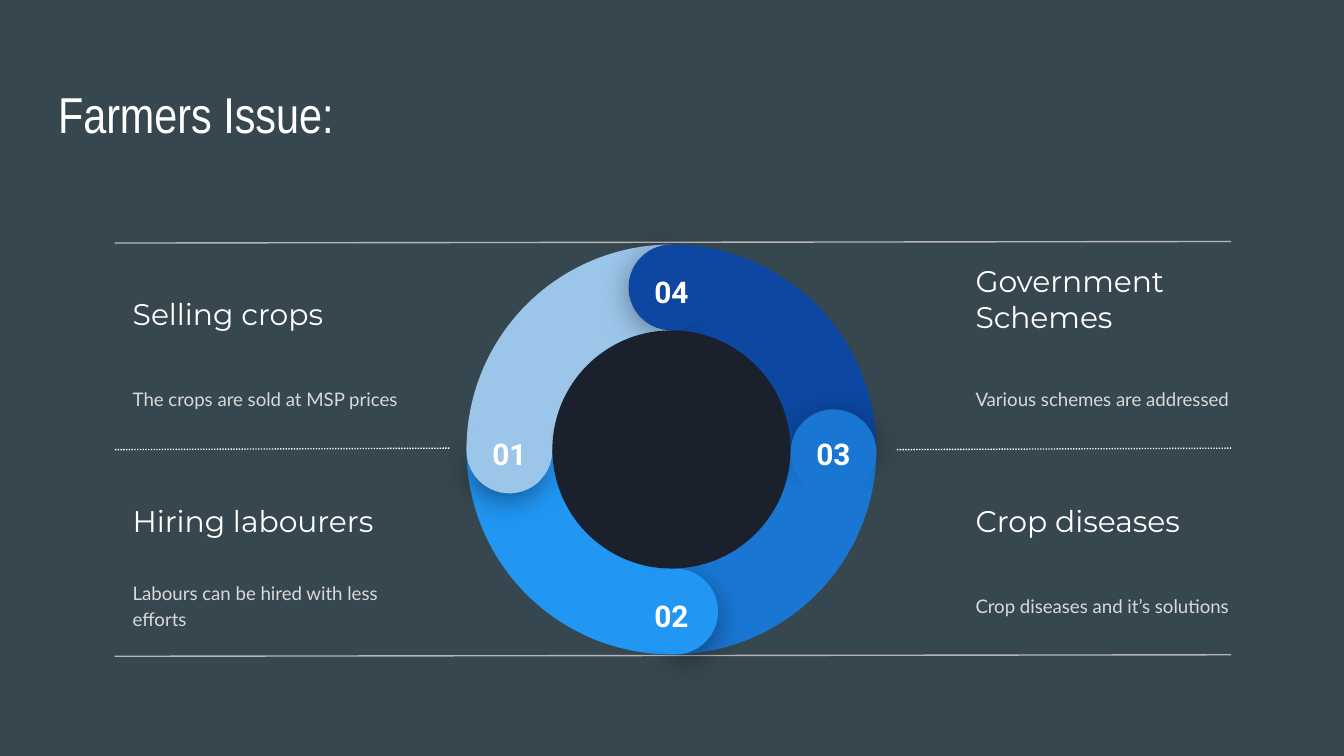
from dataclasses import dataclass
from math import cos, radians, sin

from lxml import etree
from pptx import Presentation
from pptx.dml.color import RGBColor
from pptx.enum import dml, shapes, text
from pptx.oxml import ns
from pptx.util import Pt


@dataclass(frozen=True)
class Theme:
    back: str = "37474F"
    white: str = "FFFFFF"
    body: str = "D9D9D9"
    rule: str = "B7B7B7"
    hub: str = "1B212C"
    title_size: float = 27
    head_size: float = 16
    body_size: float = 10
    number_size: float = 16


THEME = Theme()
KIND = shapes.MSO_SHAPE

# number, colour, turn of the quarter, slip of its cap along the ring
SEGMENTS = [
    ("01", "9BC5E9", 0, 0.5),
    ("02", "2196F3", 270, 2),
    ("03", "1976D2", 180, -1.5),
    ("04", "0D47A1", 90, 0),
]

# heading, body, column, row, lift of the heading
ISSUES = [
    ("Selling crops", "The crops are sold at MSP prices", 0, 0, 0),
    ("Hiring labourers", "Labours can be hired with less efforts", 0, 1, 0),
    ("Government Schemes", "Various schemes are addressed", 1, 0, 8),
    ("Crop diseases", "Crop diseases and it’s solutions", 1, 1, 0),
]


def add_text(page, box, words, font, size, color, anchor=text.MSO_ANCHOR.TOP):
    frame = page.shapes.add_textbox(*map(Pt, box)).text_frame
    frame.word_wrap = True
    frame.vertical_anchor = anchor
    frame.margin_left = frame.margin_right = Pt(7.2)
    frame.margin_top = frame.margin_bottom = Pt(7.2)
    para = frame.paragraphs[0]
    span = para.add_run()
    span.text = words
    span.font.name, span.font.size = font, Pt(size)
    span.font.color.rgb = RGBColor.from_string(color)
    return para


def add_disc(parent, kind, center, size, color, turn=0, angles=None):
    """A round shape about a centre; angles are degrees clockwise from the right."""
    x, y = center
    disc = parent.shapes.add_shape(
        kind, Pt(x - size / 2), Pt(y - size / 2), Pt(size), Pt(size))
    disc.shadow.inherit = False
    disc.fill.solid()
    disc.fill.fore_color.rgb = RGBColor.from_string(color)
    disc.line.fill.background()
    disc.rotation = turn % 360
    for index, angle in enumerate(angles or ()):
        disc.adjustments[index] = angle * 0.6  # 60000 units a degree, scaled by 100000
    return disc


def add_shadow(shape):
    effects = shape._element.spPr.find(ns.qn("a:effectLst"))
    shadow = etree.SubElement(
        effects, ns.qn("a:outerShdw"), blurRad=str(Pt(18)), dist=str(Pt(4)),
        dir="5400000", algn="bl", rotWithShape="0")
    color = etree.SubElement(shadow, ns.qn("a:srgbClr"), val="000000")
    etree.SubElement(color, ns.qn("a:alpha"), val="55000")


def add_rule(page, left, top, width, color, dotted=False):
    """A thin line that falls slightly to the left."""
    rule = page.shapes.add_connector(
        shapes.MSO_CONNECTOR.STRAIGHT,
        Pt(left + width), Pt(top), Pt(left), Pt(top + 0.8))
    rule.line.color.rgb = RGBColor.from_string(color)
    rule.line.width = Pt(0.75)
    if dotted:
        rule.line.dash_style = dml.MSO_LINE.ROUND_DOT
    etree.SubElement(rule._element.spPr, ns.qn("a:effectLst"))


def add_rules(page, box):
    left, top, width, height = box
    short = 179.3
    for y in (top, top + height):
        add_rule(page, left, y, width, THEME.rule)
    for x in (left, left + width - short):
        add_rule(page, x, top + height / 2, short, THEME.white, dotted=True)


def add_issue(page, box, heading, body, lift):
    left, top, width, height = box
    middle = text.MSO_ANCHOR.MIDDLE
    add_text(page, (left, top - lift, 146, 35.3), heading,
             "Montserrat", THEME.head_size, THEME.white, middle)
    para = add_text(page, (left, top + 35, width, height - 35), body,
                    "Lato", THEME.body_size, THEME.body, middle)
    para.line_spacing = 1.15
    para.space_after = Pt(16)


def add_ring(page, box):
    left, top, size = box
    x, y = left + size / 2, top + size / 2

    # Quarters
    for _, color, turn, _ in sorted(SEGMENTS, key=lambda segment: segment[2]):
        add_disc(page, KIND.PIE, (x, y), size, color, turn, (179.93, 270.02))

    # Round caps with their numbers
    for number, color, turn, slip in SEGMENTS:
        across, down = cos(radians(180 + turn)), sin(radians(180 + turn))

        def on_ring(radius):
            return x + radius * across + slip * down, y + radius * down - slip * across

        cap = page.shapes.add_group_shape()
        half = add_disc(cap, KIND.PIE, on_ring(88.3), 41, color, turn + 39.5, (315.9, 139.7))
        add_shadow(half)
        add_disc(cap, KIND.CHORD, on_ring(86.8), 46, color, turn + 4.1, (41.68, 30.2))
        para = add_text(
            page, (x + 86.8 * across - 20, y + 86.8 * down - 14.6, 40, 21),
            number, "Roboto", THEME.number_size, THEME.white)
        para.alignment = text.PP_ALIGN.CENTER
        para.runs[0].font.bold = True

    # Hub
    add_disc(page, KIND.OVAL, (x, y), 127.6, THEME.hub)


def main():
    deck = Presentation()
    deck.slide_width, deck.slide_height = Pt(720), Pt(405)
    page = deck.slides.add_slide(deck.slide_layouts[6])
    page.background.fill.solid()
    page.background.fill.fore_color.rgb = RGBColor.from_string(THEME.back)

    add_text(page, (24, 37.5, 671, 45.4), "Farmers Issue:",
             "Arial Narrow", THEME.title_size, THEME.white)
    for heading, body, column, row, lift in ISSUES:
        box = (64 + 451.5 * column, 150.5 + 111 * row, 157, 89.7)
        add_issue(page, box, heading, body, lift)
    add_rules(page, (61.4, 129.4, 598.2, 221.4))
    add_ring(page, (249.9, 131, 219.6))

    deck.save("out.pptx")


if __name__ == "__main__":
    main()
